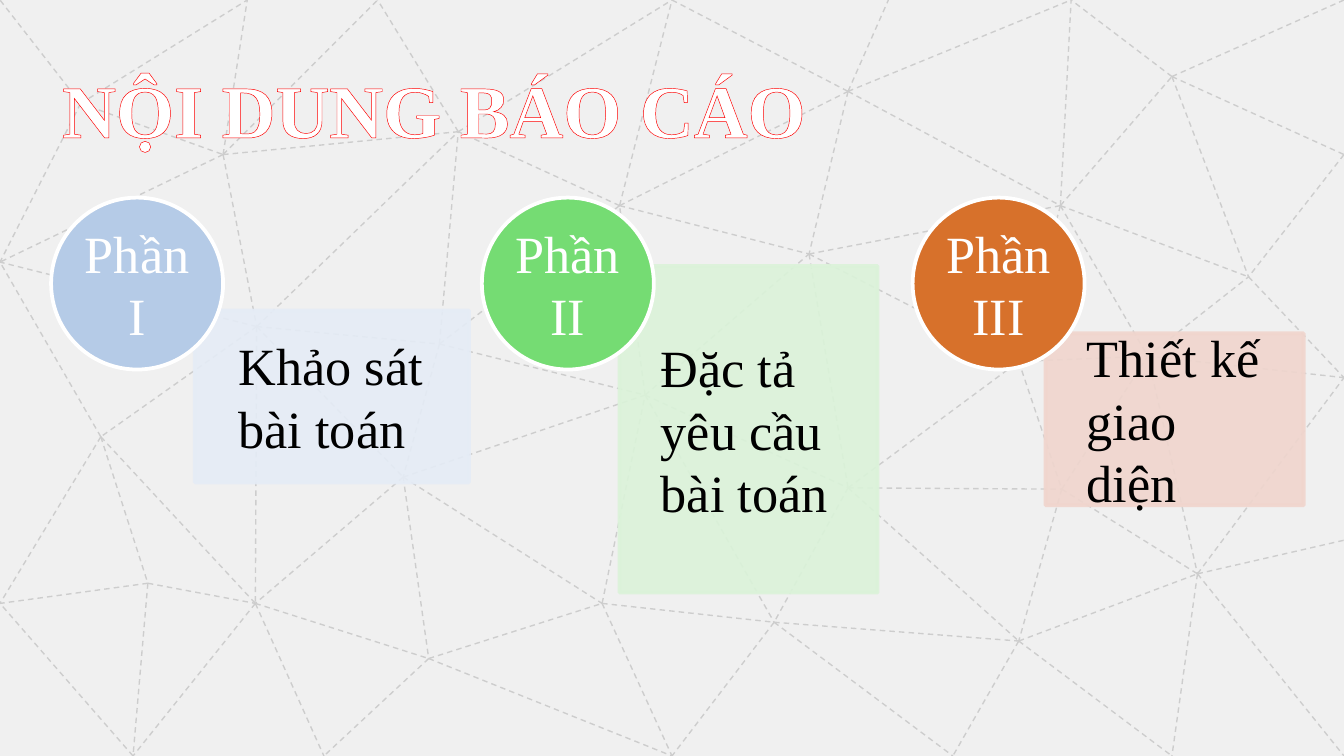
from lxml.etree import SubElement
from pptx import Presentation
from pptx.dml.color import RGBColor
from pptx.enum.dml import MSO_LINE
from pptx.enum.shapes import MSO_CONNECTOR, MSO_SHAPE
from pptx.enum.text import MSO_ANCHOR, MSO_AUTO_SIZE, PP_ALIGN
from pptx.oxml.ns import qn
from pptx.util import Inches, Pt

BACKGROUND = RGBColor(0xF0, 0xF0, 0xF0)
NETWORK = RGBColor(0xCD, 0xCD, 0xCD)
WHITE = RGBColor(0xFF, 0xFF, 0xFF)
BLACK = RGBColor(0, 0, 0)
RED = RGBColor(0xFF, 0, 0)
BLUE, PALE_BLUE = RGBColor(0xB5, 0xCB, 0xE7), RGBColor(0xE5, 0xEC, 0xF6)
GREEN, PALE_GREEN = RGBColor(0x75, 0xDC, 0x73), RGBColor(0xDB, 0xF3, 0xD9)
ORANGE, PALE_ORANGE = RGBColor(0xD7, 0x71, 0x2B), RGBColor(0xF0, 0xD5, 0xCD)

# The grid has square cells: 100 columns across, 56.25 rows down.
COLUMNS, ROWS = 100, 56.25
CELL = Inches(0.1)

# Network node: column, row, and the nodes it is joined to.
NODES = {
    "A": (16.6, 11.5, "BCDEF"), "B": (18.4, 0, ""), "C": (0, 19.5, ""),
    "D": (28.1, 0, ""), "E": (34.1, 9.8, "DT"), "F": (19.1, 24.3, "CEGHIJ"),
    "G": (32.7, 25.6, "EHRS"), "H": (30, 35.5, "INPR"), "I": (19, 44.9, "MNO"),
    "J": (7.5, 32.5, "CIKL"), "K": (0, 44.9, ""), "L": (11, 43.4, "IKM"),
    "M": (9.9, ROWS, "K"), "N": (31.9, 49, "OPQ"), "O": (24.1, ROWS, ""),
    "P": (44.8, 44.9, "QRX"), "Q": (50, ROWS, ""), "R": (48, 29.4, "SVWX"),
    "S": (46.1, 15.3, "ETUV"), "T": (50, 0, "U"), "U": (63.1, 6.8, "VYZh"),
    "V": (60.2, 18.9, "WZa"), "W": (63.1, 36.3, "Xabc"), "X": (57.6, 46.3, "Qcd"),
    "Y": (66.1, 0, ""), "Z": (78.9, 15.3, "afghk"), "a": (75.8, 26.9, "bf"),
    "b": (79, 36.4, "cfm"), "c": (75.8, 47.7, "dem"), "d": (70.9, ROWS, ""),
    "e": (87.2, ROWS, ""), "f": (85.4, 26.5, "klm"), "g": (87.2, 5.7, "hijk"),
    "h": (79.7, 0, ""), "i": (COLUMNS, 0, ""), "j": (COLUMNS, 11.5, "k"),
    "k": (92.9, 20.6, "l"), "l": (COLUMNS, 28.1, ""), "m": (89.1, 42.7, "elno"),
    "n": (COLUMNS, ROWS, ""), "o": (COLUMNS, 40.2, ""), "p": (6, 7.7, "ABCq"),
    "q": (0, 0, ""),
}

# Label, text, circle colour, panel colour, panel box (left, top, width, height).
SECTIONS = [
    ("Phần I", "Khảo sát bài toán", BLUE, PALE_BLUE, (14.5, 23.1, 20.4, 12.8)),
    ("Phần II", "Đặc tả yêu cầu bài toán", GREEN, PALE_GREEN, (46.1, 19.8, 19.2, 24.3)),
    ("Phần III", "Thiết kế giao diện", ORANGE, PALE_ORANGE, (77.8, 24.8, 19.2, 12.8)),
]
CIRCLE_LEFT, CIRCLE_TOP, CIRCLE_SIZE, CIRCLE_STEP = 3.8, 14.7, 12.8, 32.05
LABEL_MARGIN, LABEL_SIZE = 1.85, 9.1
PANEL_INDENT = 0.16  # share of the panel's width
PANEL_INSET = 2.2


def cells(*counts):
    return [round(count * CELL) for count in counts]


def set_opacity(fill_format_element, percent):
    for color in fill_format_element.iter(qn("a:srgbClr")):
        SubElement(color, qn("a:alpha"), val=str(percent * 1000))


class SlideBuilder:
    font_name = "Times New Roman"
    title_size = Pt(40)
    text_size = Pt(28)

    def __init__(self, slide):
        self.slide = slide
        slide.background.fill.solid()
        slide.background.fill.fore_color.rgb = BACKGROUND

    def format_text(self, paragraph, size, color, alignment):
        paragraph.alignment = alignment
        paragraph.font.name = self.font_name
        paragraph.font.size = size
        paragraph.font.color.rgb = color

    def dashed_line(self, start, end):
        line = self.slide.shapes.add_connector(
            MSO_CONNECTOR.STRAIGHT, *cells(*start, *end))
        line.line.color.rgb = NETWORK
        line.line.width = Pt(0.75)
        line.line.dash_style = MSO_LINE.DASH
        SubElement(line.element.spPr, qn("a:effectLst"))

    def title(self, text, box):
        """Place the title in front of everything drawn so far."""
        title = self.slide.shapes.title
        title.element.getparent().append(title.element)
        title.left, title.top, title.width, title.height = cells(*box)
        frame = title.text_frame
        frame.text = text
        frame.word_wrap = False
        frame.auto_size = MSO_AUTO_SIZE.SHAPE_TO_FIT_TEXT
        frame.vertical_anchor = MSO_ANCHOR.TOP
        paragraph = frame.paragraphs[0]
        self.format_text(paragraph, self.title_size, WHITE, PP_ALIGN.CENTER)
        paragraph.font.bold = True
        properties = paragraph.runs[0].font
        properties.fill.solid()
        properties.fill.fore_color.rgb = WHITE
        run_properties = paragraph.runs[0]._r.get_or_add_rPr()
        outline = SubElement(run_properties, qn("a:ln"), w=str(Pt(0.52)))
        fill = SubElement(outline, qn("a:solidFill"))
        SubElement(fill, qn("a:srgbClr"), val=str(RED))
        run_properties.insert(0, outline)

    def filled_shape(self, kind, box, color, line_color, opacity=100):
        shape = self.slide.shapes.add_shape(kind, *cells(*box))
        shape.shadow.inherit = False
        shape.fill.solid()
        shape.fill.fore_color.rgb = color
        shape.line.color.rgb = line_color
        shape.line.width = Pt(2)
        if opacity < 100:
            set_opacity(shape.element.spPr, opacity)

    def text(self, text, box, color, alignment, inset=0):
        """Add middle-anchored text, inset on every side but the left."""
        frame = self.slide.shapes.add_textbox(*cells(*box)).text_frame
        frame.text = text
        frame.word_wrap = True
        frame.vertical_anchor = MSO_ANCHOR.MIDDLE
        frame.margin_left = 0
        frame.margin_top = frame.margin_right = frame.margin_bottom = cells(inset)[0]
        self.format_text(frame.paragraphs[0], self.text_size, color, alignment)

    def section(self, index, label, text, color, panel_color, panel):
        left, top, width, height = panel
        indent = PANEL_INDENT * width
        self.filled_shape(MSO_SHAPE.RECTANGLE, panel, panel_color, panel_color, 90)
        self.text(text, (left + indent, top, width - indent, height),
                  BLACK, PP_ALIGN.LEFT, PANEL_INSET)

        left = CIRCLE_LEFT + index * CIRCLE_STEP
        self.filled_shape(MSO_SHAPE.OVAL, (left, CIRCLE_TOP, CIRCLE_SIZE, CIRCLE_SIZE),
                          color, WHITE)
        self.text(label, (left + LABEL_MARGIN, CIRCLE_TOP + LABEL_MARGIN,
                          LABEL_SIZE, LABEL_SIZE), WHITE, PP_ALIGN.CENTER)


def main():
    presentation = Presentation()
    presentation.slide_width, presentation.slide_height = cells(COLUMNS, ROWS)
    title_only = presentation.slide_layouts.get_by_name("Title Only")
    builder = SlideBuilder(presentation.slides.add_slide(title_only))

    for column, row, neighbours in NODES.values():
        for neighbour in neighbours:
            builder.dashed_line((column, row), NODES[neighbour][:2])

    builder.title("NỘI DUNG BÁO CÁO", (3.6, 4.2, 57.4, 7.7))
    for index, section in enumerate(SECTIONS):
        builder.section(index, *section)

    presentation.save("out.pptx")


if __name__ == "__main__":
    main()
